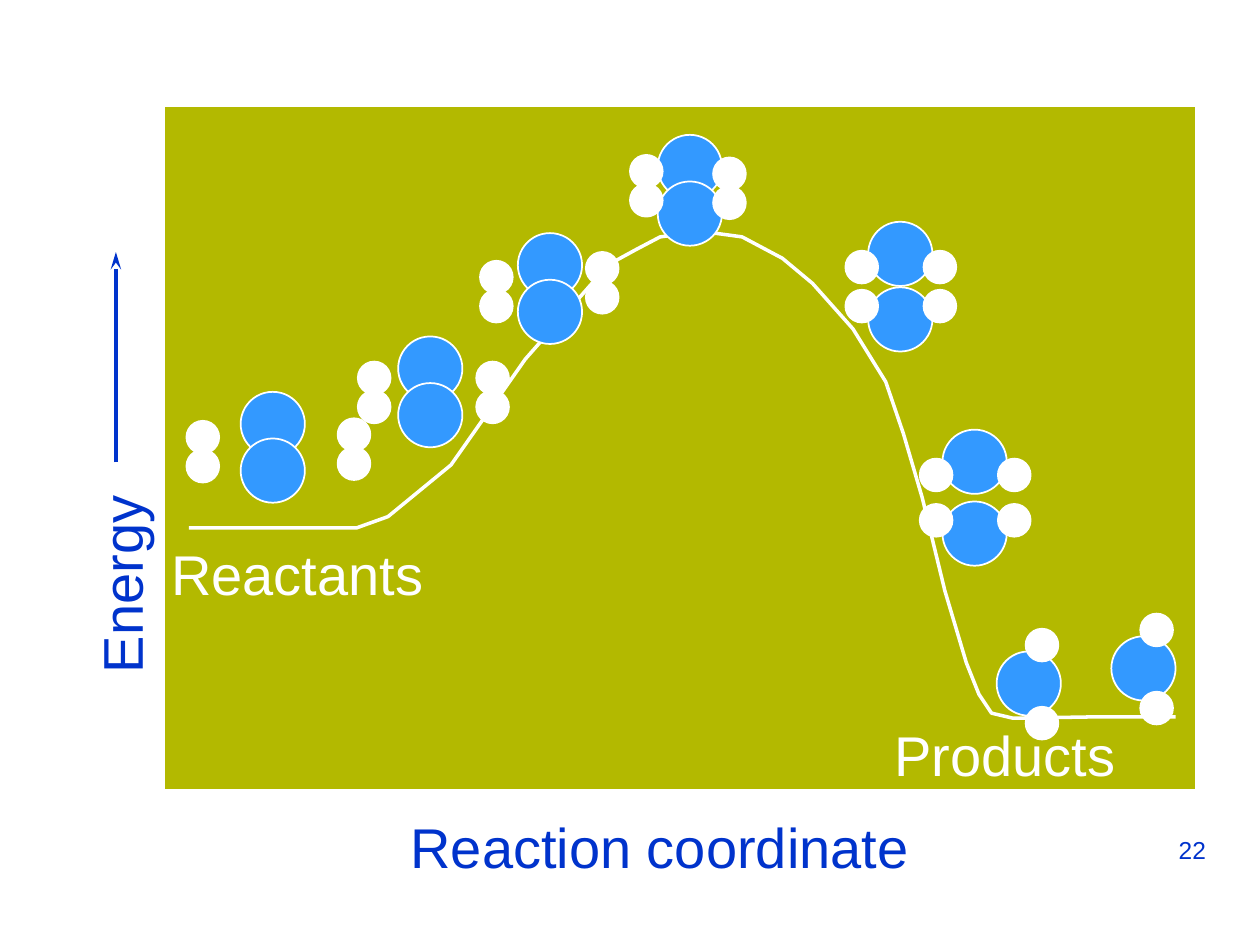
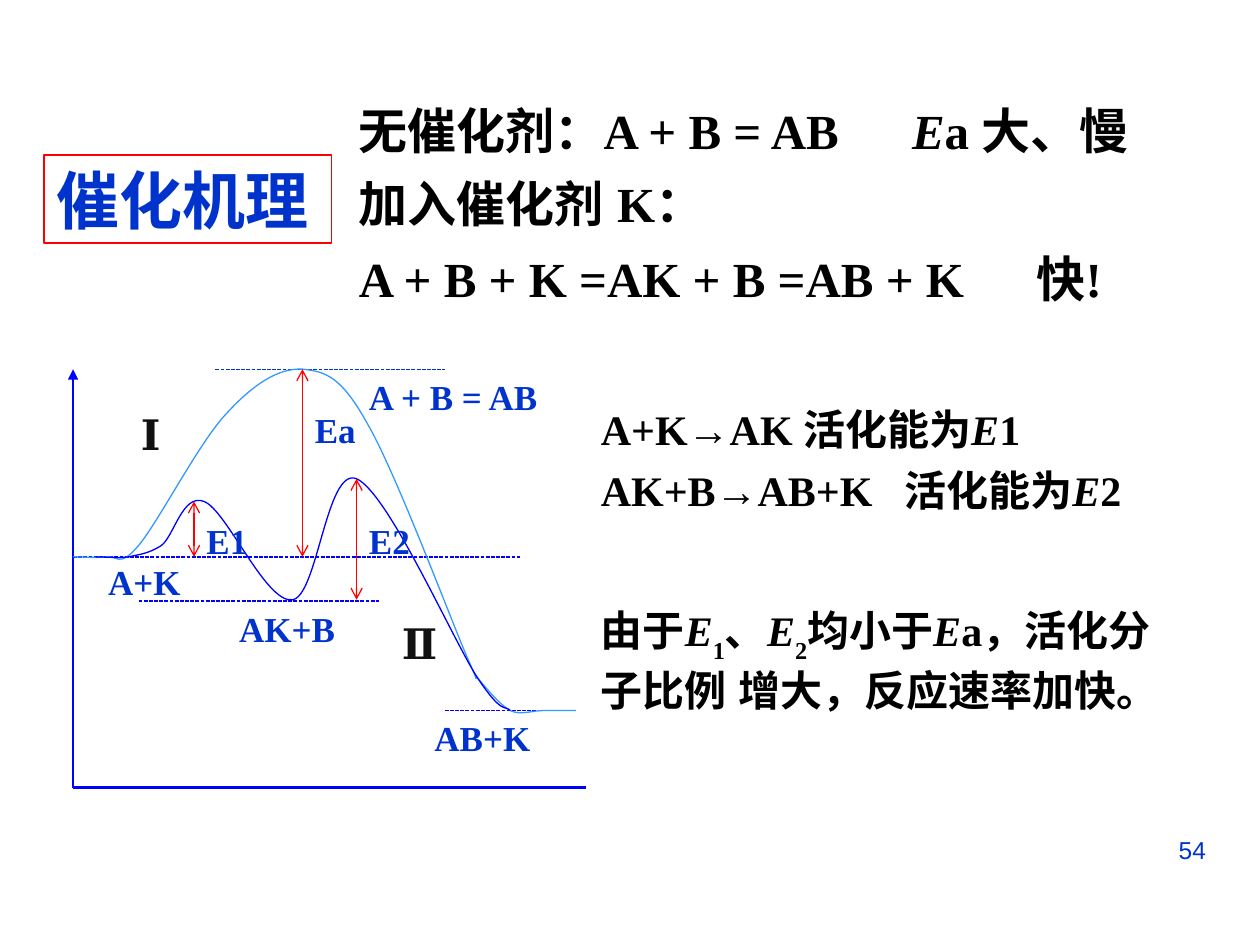
from dataclasses import dataclass
from typing import NamedTuple

from lxml.etree import SubElement
from pptx import Presentation
from pptx.dml.color import RGBColor
from pptx.enum.dml import MSO_LINE_DASH_STYLE as Dash
from pptx.enum.shapes import MSO_CONNECTOR as Connector, MSO_SHAPE as Preset
from pptx.enum.text import MSO_ANCHOR as Anchor, MSO_AUTO_SIZE as AutoSize, PP_ALIGN as Align
from pptx.oxml.ns import qn
from pptx.util import Pt

PX = 9144  # EMU per px, 100 px to the inch
TITLE_ONLY, BLANK = 5, 6
SANS, SERIF = "Arial", "Times New Roman"
COLORS = {
    "ink": "0033CC", "panel": "B3B900", "white": "FFFFFF", "oxygen": "3399FF",
    "black": "000000", "numeral": "111111", "red": "FF0000", "axis": "0000FF",
}

Point = tuple[int, int]
Box = tuple[int, int, int, int]


class Style(NamedTuple):
    font: str
    size: int
    color: str
    bold: bool = False
    align: Align = Align.LEFT
    asian_font: str = SANS


class Span(NamedTuple):
    text: str
    italic: bool = False
    subscript: bool = False


@dataclass
class Label:
    box: Box
    style: Style
    paras: list[list[Span]]
    rotation: int = 0
    tab: int = 0
    line_spacing: float = 1.0
    gap: int = 0


@dataclass
class Line:
    start: Point
    end: Point
    color: str
    width: float = 0.75
    head: str = ""
    tail: str = ""
    tail_length: str = "med"
    dashed: bool = False


class Molecule(NamedTuple):
    kind: str
    x: int
    y: int


NUMBER = Style(SANS, 14, "ink", align=Align.RIGHT)
AXIS_TITLE = Style(SANS, 32, "ink")
PANEL_TEXT = Style(SANS, 32, "white")
HEADING = Style(SERIF, 36, "ink", True)
EQUATION = Style(SERIF, 28, "black", True)
BODY = Style(SERIF, 24, "black", True)
CURVE_TEXT = Style(SERIF, 20, "ink", True)
NUMERAL = Style(SERIF, 24, "numeral", True, asian_font=SERIF)
E = Span("E", italic=True)


# Shared drawing

def rgb(name: str) -> RGBColor:
    return RGBColor.from_string(COLORS[name])


def emu(*lengths: int) -> list[int]:
    return [length * PX for length in lengths]


def plain(text: str) -> list[list[Span]]:
    return [[Span(text)]]


def write(frame, label: Label) -> None:
    frame.word_wrap = True
    frame.auto_size = AutoSize.NONE
    frame.vertical_anchor = Anchor.TOP
    style = label.style
    for index, spans in enumerate(label.paras):
        para = frame.add_paragraph() if index else frame.paragraphs[0]
        props = para._p.get_or_add_pPr()
        if label.tab:
            tabs = SubElement(props, qn("a:tabLst"))
            SubElement(tabs, qn("a:tab"), pos=str(label.tab * PX), algn="l")
        para.alignment = style.align
        para.line_spacing = label.line_spacing
        para.space_before = Pt(label.gap if index else 0)
        font = para.font
        font.name, font.size, font.bold = style.font, Pt(style.size), style.bold
        font.color.rgb = rgb(style.color)
        SubElement(props.find(qn("a:defRPr")), qn("a:ea"), typeface=style.asian_font)
        for span in spans:
            run = para.add_run()
            run.text = span.text
            if span.italic:
                run.font.italic = True
            if span.subscript:
                run._r.get_or_add_rPr().set("baseline", "-30000")


def add_label(shapes, label: Label) -> None:
    text_box = shapes.add_textbox(*emu(*label.box))
    text_box.rotation = label.rotation
    write(text_box.text_frame, label)


def add_preset(shapes, preset: Preset, box: Box, fill: str) -> None:
    shape = shapes.add_shape(preset, *emu(*box))
    shape.shadow.inherit = False
    shape.fill.solid()
    shape.fill.fore_color.rgb = rgb(fill)
    shape.line.color.rgb = rgb("white")
    shape.line.width = Pt(1)


def add_line(shapes, line: Line) -> None:
    connector = shapes.add_connector(Connector.STRAIGHT, *emu(*line.start, *line.end))
    connector.line.color.rgb = rgb(line.color)
    connector.line.width = Pt(line.width)
    if line.dashed:
        connector.line.dash_style = Dash.SQUARE_DOT
    outline = connector.line._get_or_add_ln()
    if line.head:
        SubElement(outline, qn("a:headEnd"), type=line.head)
    if line.tail:
        SubElement(outline, qn("a:tailEnd"), type=line.tail, len=line.tail_length)
    SubElement(connector._element.spPr, qn("a:effectLst"))


def add_path(shapes, points: list[Point], color: str, width: float):
    corners = [emu(*point) for point in points]
    builder = shapes.build_freeform(*corners[0])
    builder.add_line_segments(corners[1:], close=False)
    path = builder.convert_to_shape()
    path.shadow.inherit = False
    path.fill.background()
    path.line.color.rgb = rgb(color)
    path.line.width = Pt(width)
    return path


def add_curve(shapes, knots: list[Point], color: str) -> None:
    """Joined cubic curves: a start, then three knots per curve."""
    curve = add_path(shapes, knots, color, 0.75)
    outline = next(curve._element.iter(qn("a:path")))
    segments = outline.findall(qn("a:lnTo"))
    for first in range(0, len(segments), 3):
        cubic = SubElement(outline, qn("a:cubicBezTo"))
        for segment in segments[first:first + 3]:
            cubic.append(segment[0])
            outline.remove(segment)


def add_page(deck, layout: int, number: int):
    page = deck.slides.add_slide(deck.slide_layouts[layout])
    add_label(page.shapes, Label((717, 658, 250, 52), NUMBER, plain(str(number))))
    return page


# Reaction coordinate page

ATOMS = {"O": (51, "oxygen"), "H": (26, "white")}  # diameter, colour
MOLECULES = {
    "O2": (("O", 0, 0), ("O", 0, 37)),
    "H2": (("H", 0, 0), ("H", 0, 23)),
    "upper water": (("O", 0, 0), ("H", 44, 23), ("H", -18, 23)),
    "lower water": (("O", 0, 0), ("H", 44, 2), ("H", -18, 2)),
    "side water": (("O", 0, 0), ("H", 23, 44), ("H", 23, -18)),
}
STAGES = [
    (Molecule("O2", 191, 311), Molecule("H2", 268, 332), Molecule("H2", 148, 334)),
    (Molecule("O2", 316, 267), Molecule("H2", 378, 287), Molecule("H2", 284, 287)),
    (Molecule("O2", 411, 185), Molecule("H2", 465, 200), Molecule("H2", 381, 207)),
    (Molecule("O2", 522, 107), Molecule("H2", 566, 125), Molecule("H2", 500, 123)),
    (Molecule("upper water", 689, 176), Molecule("lower water", 689, 228)),
    (Molecule("upper water", 748, 341), Molecule("lower water", 748, 398)),
    (Molecule("side water", 882, 505), Molecule("side water", 791, 517)),
]
ENERGY_CURVE = [
    (150, 419), (283, 419), (308, 410), (358, 369), (417, 285), (483, 210),
    (505, 198), (524, 188), (547, 185), (567, 185), (589, 188), (621, 205),
    (645, 225), (677, 261), (703, 303), (717, 344), (732, 395), (750, 469),
    (767, 526), (777, 551), (787, 566), (804, 570), (867, 569), (933, 569),
]
ENERGY_LABELS = [
    Label((8, 425, 175, 63), AXIS_TITLE, plain("Energy"), rotation=270),
    Label((316, 640, 492, 63), AXIS_TITLE, plain("Reaction coordinate")),
    Label((126, 423, 254, 63), PANEL_TEXT, plain("Reactants")),
    Label((700, 567, 237, 63), PANEL_TEXT, plain("Products")),
]


def add_stage(shapes, stage: tuple[Molecule, ...]) -> None:
    group = shapes.add_group_shape()
    for molecule in stage:
        for atom, dx, dy in MOLECULES[molecule.kind]:
            size, color = ATOMS[atom]
            box = (molecule.x + dx, molecule.y + dy, size, size)
            add_preset(group.shapes, Preset.OVAL, box, color)


def build_energy_page(deck) -> None:
    shapes = add_page(deck, BLANK, 22).shapes
    add_preset(shapes, Preset.RECTANGLE, (130, 84, 819, 543), "panel")
    add_line(shapes, Line((92, 367), (92, 200), "ink", 2, tail="stealth", tail_length="lg"))
    add_path(shapes, ENERGY_CURVE, "white", 2)
    for label in ENERGY_LABELS:
        add_label(shapes, label)
    for stage in STAGES:
        add_stage(shapes, stage)


# Catalysis page

CATALYSIS_TEXT = [
    Label((275, 75, 658, 57), EQUATION,
          [[Span("无催化剂：A + B = AB\t"), E, Span("a 大、慢")]], tab=439),
    Label((275, 133, 317, 57), EQUATION, plain("加入催化剂 K：")),
    Label((275, 192, 629, 57), EQUATION, plain("A + B + K =AK + B =AB + K\t快!"), tab=538),
    Label((467, 326, 500, 95), BODY,
          [[Span("A+K→AK 活化能为"), E, Span("1")],
           [Span("AK+B→AB+K\t活化能为"), E, Span("2")]],
          tab=241, line_spacing=0.7, gap=15),
    Label((467, 475, 467, 137), BODY,
          [[Span("由于"), E, Span("1", subscript=True), Span("、"), E,
            Span("2", subscript=True), Span("均小于"), E,
            Span("a，活化分子比例 增大，反应速率加快。")]]),
]
AXES = [
    Line((58, 625), (58, 293), "axis", 1.5, tail="triangle"),
    Line((58, 625), (465, 625), "axis", 1.5),
]
LEVELS = [
    Line(start, end, color, dashed=True) for start, end, color in (
        ((58, 442), (413, 442), "axis"),
        ((353, 564), (457, 564), "axis"),
        ((110, 477), (301, 477), "axis"),
        ((171, 293), (353, 293), "ink"),
    )
]
BARRIERS = [
    Line((x, top), (x, bottom), "red", head="arrow", tail="arrow")
    for x, top, bottom in ((240, 293, 442), (154, 398, 442), (283, 380, 476))
]
UNCATALYSED = [
    (58, 442), (67, 442), (76, 443), (84, 442), (93, 440), (94, 452), (110, 433),
    (126, 414), (158, 351), (180, 328), (201, 305), (221, 292), (240, 293),
    (259, 295), (271, 299), (292, 337), (314, 375), (356, 487), (370, 520),
    (385, 554), (373, 530), (379, 538), (385, 545), (396, 559), (405, 564),
    (413, 568), (422, 564), (431, 564), (439, 564), (452, 564), (457, 564),
]
CATALYSED = [
    (76, 442), (84, 442), (93, 443), (102, 442), (110, 440), (117, 440), (128, 433),
    (138, 426), (145, 391), (162, 398), (180, 405), (211, 479), (232, 476),
    (252, 474), (259, 370), (283, 380), (308, 391), (359, 507), (379, 538),
    (399, 568), (400, 559), (405, 564),
]
CURVE_LABELS = [
    Label(box, style, plain(text)) for text, box, style in (
        ("A+K", (76, 440, 95, 44), CURVE_TEXT),
        ("AK+B", (180, 477, 130, 44), CURVE_TEXT),
        ("AB+K", (335, 564, 130, 44), CURVE_TEXT),
        ("E1", (154, 407, 78, 48), CURVE_TEXT),
        ("E2", (283, 407, 78, 48), CURVE_TEXT),
        ("Ea", (240, 319, 78, 48), CURVE_TEXT),
        ("A + B = AB", (283, 293, 216, 44), CURVE_TEXT),
        ("Ⅰ", (102, 319, 52, 50), NUMERAL),
        ("Ⅱ", (309, 485, 52, 50), NUMERAL),
    )
]


def build_catalysis_page(deck) -> None:
    page = add_page(deck, TITLE_ONLY, 54)
    heading = Label((35, 123, 228, 70), HEADING, plain("催化机理"))
    title = page.shapes.title
    title.left, title.top, title.width, title.height = emu(*heading.box)
    title.line.color.rgb = rgb("red")
    title.line.width = Pt(0.75)
    write(title.text_frame, heading)
    for label in CATALYSIS_TEXT:
        add_label(page.shapes, label)

    # Energy profile with both routes
    profile = page.shapes.add_group_shape().shapes
    for line in AXES + LEVELS:
        add_line(profile, line)
    add_curve(profile, UNCATALYSED, "oxygen")
    add_curve(profile, CATALYSED, "axis")
    for line in BARRIERS:
        add_line(profile, line)
    for label in CURVE_LABELS:
        add_label(profile, label)


def main() -> None:
    deck = Presentation()
    deck.slide_width, deck.slide_height = emu(1000, 750)
    build_energy_page(deck)
    build_catalysis_page(deck)
    deck.save("out.pptx")


if __name__ == "__main__":
    main()
